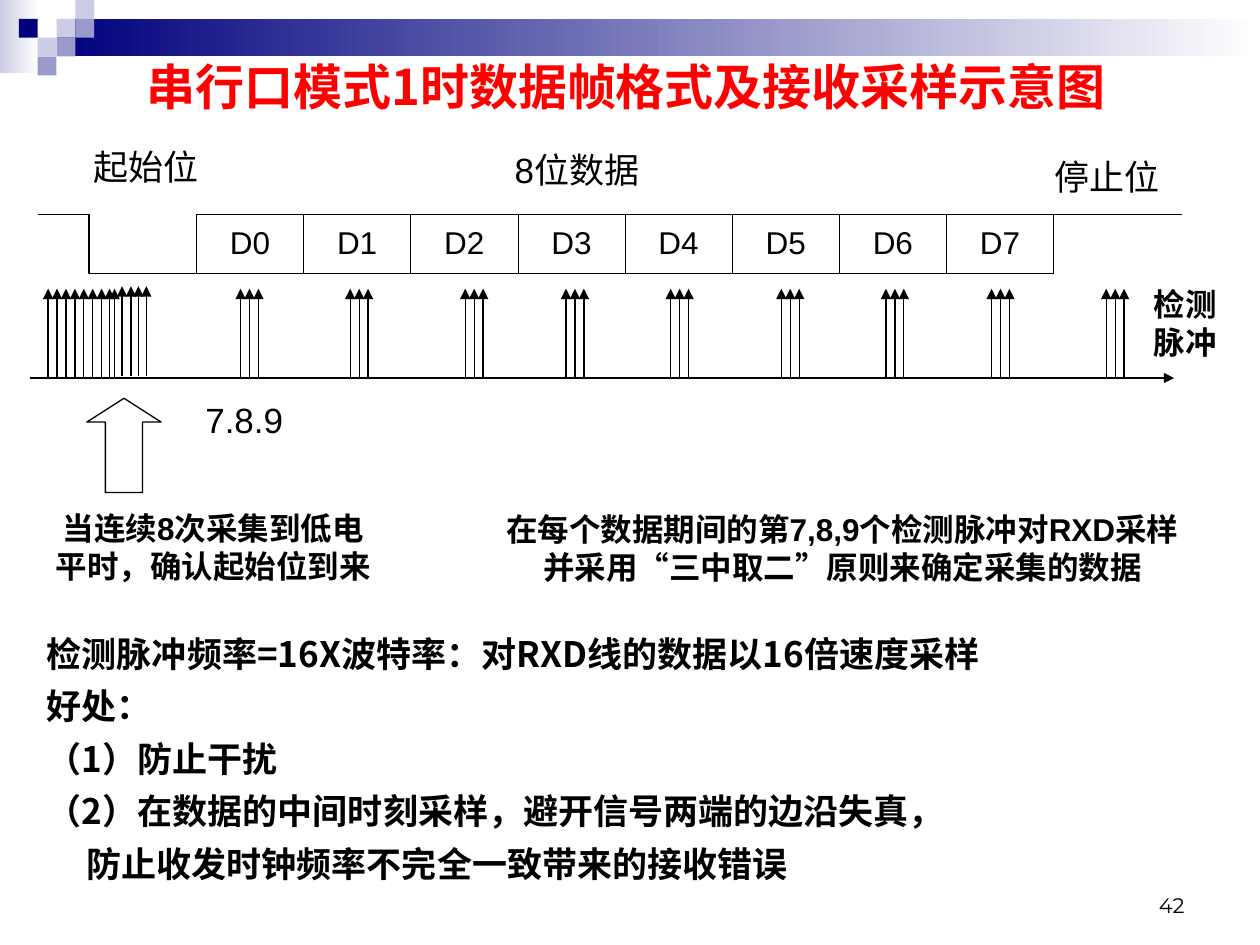
import pptx
import pptx.util
import pptx.dml.color
import pptx.enum.shapes
import pptx.enum.text
import pptx.oxml.ns
from lxml import etree

Cm = pptx.util.Cm
Pt = pptx.util.Pt
qn = pptx.oxml.ns.qn
SHAPE = pptx.enum.shapes.MSO_SHAPE
CONNECTOR = pptx.enum.shapes.MSO_CONNECTOR
ALIGN = pptx.enum.text.PP_ALIGN
ANCHOR = pptx.enum.text.MSO_ANCHOR

COLORS = {
    "black": "000000",
    "red": "FF0000",
    "white": "FFFFFF",
    "navy": "00007D",
    "violet": "9999CC",
    "lilac": "CCCCE6",
}
SANS = "Arial"
CJK = "Noto Sans CJK SC"


def rgb(name):
    return pptx.dml.color.RGBColor.from_string(COLORS[name])


def place(sp, box):
    sp.left, sp.top, sp.width, sp.height = (Cm(v) for v in box)


def format_paragraph(p, size, bold=False, font=SANS, color="black", align=ALIGN.CENTER):
    p.alignment = align
    p.font.size = Pt(size)
    p.font.bold = bold
    p.font.name = font
    p.font.color.rgb = rgb(color)
    props = p._p.pPr.find(qn("a:defRPr"))
    etree.SubElement(props, qn("a:ea")).set("typeface", CJK)


def add_text(s, box, lines, size, bold=False, font=SANS, align=ALIGN.CENTER,
             anchor=ANCHOR.MIDDLE, wrap=False, inset=0.25):
    sp = s.shapes.add_textbox(*(Cm(v) for v in box))
    tf = sp.text_frame
    tf.word_wrap = wrap
    tf.vertical_anchor = anchor
    tf.margin_left = tf.margin_right = Cm(inset)
    for i, line in enumerate(lines):
        p = tf.paragraphs[0] if i == 0 else tf.add_paragraph()
        p.text = line
        format_paragraph(p, size, bold, font, align=align)


def add_block(s, box, colors):
    sp = s.shapes.add_shape(SHAPE.RECTANGLE, *(Cm(v) for v in box))
    sp.shadow.inherit = False
    sp.line.fill.background()
    if len(colors) == 1:
        sp.fill.solid()
        sp.fill.fore_color.rgb = rgb(colors[0])
    else:
        sp.fill.gradient()
        sp.fill.gradient_angle = 0
        for stop, color in zip(sp.fill.gradient_stops, colors):
            stop.color.rgb = rgb(color)


def add_line(s, x1, y1, x2, y2, arrow=False, kind=CONNECTOR.STRAIGHT):
    line = s.shapes.add_connector(kind, Cm(x1), Cm(y1), Cm(x2), Cm(y2))
    line.line.width = Pt(0.75)
    line.line.color.rgb = rgb("black")
    props = line._element.spPr
    if arrow:
        etree.SubElement(props.find(qn("a:ln")), qn("a:tailEnd")).set("type", "triangle")
    etree.SubElement(props, qn("a:effectLst"))
    return line


def header(s, box):
    x, y, w, h = box
    unit = 0.38
    add_block(s, (x, y, 0.79, h), ["lilac", "white"])
    add_block(s, (x + 3 * unit, y + unit, w - 3 * unit, 2 * unit), ["navy", "white"])
    squares = [(3, 1, "lilac"), (4, 0, "lilac"), (4, 1, "violet"), (2, 2, "lilac"),
               (1, 1, "navy"), (3, 2, "violet"), (2, 3, "violet")]
    for col, row, color in squares:
        add_block(s, (x + col * unit, y + row * unit, unit, unit), [color])


def title(s, box):
    sp = s.shapes.title
    s.shapes._spTree.append(sp._element)
    place(sp, box)
    tf = sp.text_frame
    tf.auto_size = pptx.enum.text.MSO_AUTO_SIZE.NONE
    tf.vertical_anchor = ANCHOR.MIDDLE
    tf.text = "串行口模式1时数据帧格式及接收采样示意图"
    format_paragraph(tf.paragraphs[0], 28, True, CJK, "red")


def cell_borders(cell, widths):
    props = cell._tc.get_or_add_tcPr()
    for i, (side, width) in enumerate(zip(("lnL", "lnR", "lnT", "lnB"), widths)):
        ln = etree.Element(qn("a:" + side), w=str(Pt(width)))
        fill = etree.SubElement(ln, qn("a:solidFill"))
        etree.SubElement(fill, qn("a:srgbClr")).set("val", COLORS["black"])
        props.insert(i, ln)


def data_frame(s, box):
    x, y, w, h = box
    bits, table_x, table_w = 8, x + 3.2, 17.28
    start = add_line(s, x, y, x + 3.61, y + h, kind=CONNECTOR.ELBOW)
    geom = start._element.spPr.find(qn("a:prstGeom"))
    guides = geom.find(qn("a:avLst"))
    if guides is None:
        guides = etree.SubElement(geom, qn("a:avLst"))
    etree.SubElement(guides, qn("a:gd"), name="adj1", fmla="val 28700")

    table = s.shapes.add_table(1, bits, Cm(table_x), Cm(y), Cm(table_w), Cm(h)).table
    table.first_row = table.horz_banding = False
    for i in range(bits):
        table.columns[i].width = Cm(table_w / bits)
        cell = table.cell(0, i)
        cell.text = f"D{i}"
        cell.vertical_anchor = ANCHOR.MIDDLE
        cell.fill.background()
        format_paragraph(cell.text_frame.paragraphs[0], 18)
        cell_borders(cell, (0.45 if i else 0.23, 0.45 if i < bits - 1 else 0.23, 0.23, 0.23))
    add_line(s, table_x + table_w, y, x + w, y)

    labels = [("起始位", 0.94, 1.5, 2.49, 1.09),
              ("8位数据", 8.66, 1.4, 4.42, 0.99),
              ("停止位", 20.35, 1.3, 2.41, 1.09)]
    for text, dx, rise, label_w, label_h in labels:
        add_text(s, (x + dx, y - rise, label_w, label_h), [text], 20, inset=0)


def sampling_pulses(s, box):
    x, y, w, h = box
    gap = 0.18
    add_line(s, x, y + h, x + w, y + h, arrow=True)
    triples = [4.24, 6.45, 8.77, 10.8, 12.91, 15.14, 17.25, 19.38, 21.69]
    pulses = [(0.36 + k * gap, 0) for k in range(7)] + [(1.6, 0), (1.7, 0)]
    pulses += [(dx, 0.05) for dx in (1.85, 2.03, 2.18, 2.34)]
    pulses += [(dx + k * gap, 0) for dx in triples for k in range(3)]
    for dx, lift in pulses:
        add_line(s, x + dx, y + h - lift, x + dx, y - lift, arrow=True)
    add_text(s, (x + 22.4, y - 0.2, 1.8, 1.78), ["检测脉冲"], 18, True,
             align=ALIGN.LEFT, anchor=ANCHOR.TOP, wrap=True)


def sampling_notes(s, box):
    x, y, w, h = box
    arrow = s.shapes.add_shape(SHAPE.UP_ARROW, Cm(x + 1.75), Cm(y + 0.13), Cm(1.5), Cm(1.9))
    arrow.adjustments[0] = 0.5
    arrow.adjustments[1] = 0.32
    arrow.shadow.inherit = False
    arrow.fill.background()
    arrow.line.width = Pt(0.75)
    arrow.line.color.rgb = rgb("black")
    add_text(s, (x + 3.89, y, 2.13, 1.12), ["7.8.9"], 20,
             align=ALIGN.LEFT, anchor=ANCHOR.TOP, wrap=True)
    add_text(s, (x, y + 1.42, 8.59, h - 1.42),
             ["当连续8次采集到低电", "平时，确认起始位到来"], 18, True)
    add_text(s, (x + 9.5, y + 2.13, w - 9.5, 2.03),
             ["在每个数据期间的第7,8,9个检测脉冲对RXD采样",
              "并采用“三中取二”原则来确定采集的数据"], 18, True)


def benefits(s, box):
    sp = s.placeholders[1]
    place(sp, box)
    tf = sp.text_frame
    tf.auto_size = pptx.enum.text.MSO_AUTO_SIZE.NONE
    tf.word_wrap = True
    tf.vertical_anchor = ANCHOR.MIDDLE
    lines = [("检测脉冲频率=16X波特率：对RXD线的数据以16倍速度采样", 0),
             ("好处：", 0),
             ("（1）防止干扰", 0),
             ("（2）在数据的中间时刻采样，避开信号两端的边沿失真，", 0),
             ("防止收发时钟频率不完全一致带来的接收错误", 0.8)]
    for i, (line, indent) in enumerate(lines):
        p = tf.paragraphs[0] if i == 0 else tf.add_paragraph()
        p.text = line
        props = p._p.get_or_add_pPr()
        props.set("marL", str(Cm(indent)))
        props.set("indent", "0")
        etree.SubElement(props, qn("a:buNone"))
        p.line_spacing = 1.25
        p.space_before = Pt(0)
        format_paragraph(p, 20, True, CJK, align=ALIGN.LEFT)


def main():
    prs = pptx.Presentation()
    prs.slide_width, prs.slide_height = Cm(25.4), Cm(19.05)
    s = prs.slides.add_slide(prs.slide_layouts[1])
    header(s, (0, 0, 25.4, 1.47))
    title(s, (1.19, 0.81, 22.86, 1.85))
    data_frame(s, (0.76, 4.32, 23.06, 1.19))
    sampling_pulses(s, (0.61, 5.82, 23.06, 1.8))
    sampling_notes(s, (0, 7.9, 24.46, 4.83))
    benefits(s, (0.69, 12.73, 24.71, 4.9))
    add_text(s, (18.21, 17.35, 5.92, 1.27), ["42"], 12, font="Montserrat",
             align=ALIGN.RIGHT, anchor=ANCHOR.BOTTOM, wrap=True)
    prs.save("out.pptx")


if __name__ == "__main__":
    main()
